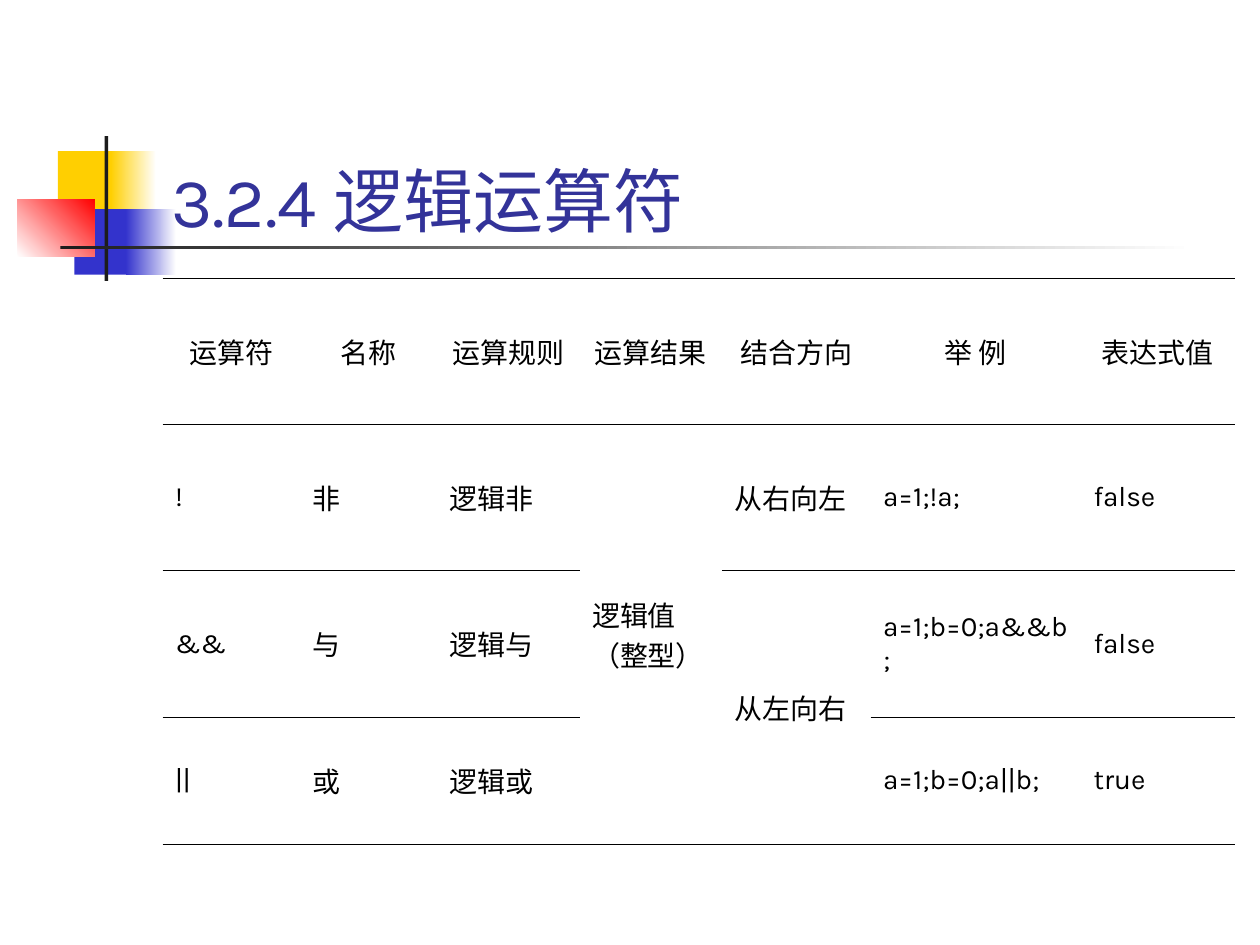
from lxml.etree import SubElement
from pptx import Presentation
from pptx.dml.color import RGBColor
from pptx.enum.shapes import MSO_SHAPE as Preset
from pptx.enum.text import MSO_ANCHOR as Anchor, PP_ALIGN as Align
from pptx.oxml.ns import qn
from pptx.util import Inches, Pt

FONT = "Karla"
NO_GRID_STYLE = "{2D5ABB26-0587-4C30-8999-92F81FD0307C}"
TITLE = "3.2.4 逻辑运算符"

# left, top, width, height, colours (one: solid, two: gradient), gradient angle
DECORATION = [
    (0.46, 1.2, 0.48, 0.52, ["FFCF01"], 0),
    (0.88, 1.2, 0.36, 0.52, ["FFCF01", "FFFFFF"], 0),
    (0.59, 1.66, 0.46, 0.52, ["3333CC"], 0),
    (1, 1.66, 0.4, 0.52, ["3333CC", "FFFFFF"], 0),
    (0.14, 1.58, 0.61, 0.46, ["FFFFFF", "FF0000"], 45),
    (0.83, 1.08, 0.03, 1.15, ["1C1C1C"], 0),
    (0.48, 1.95, 9, 0.03, ["1C1C1C", "FFFFFF"], 0),
]

# None marks a cell that continues the one above it
OPERATORS = [
    ["运算符", "名称", "运算规则", "运算结果", "结合方向", "举 例", "表达式值"],
    ["!", "非", "逻辑非", "逻辑值（整型）", "从右向左", "a=1;!a;", "false"],
    ["&&", "与", "逻辑与", None, "从左向右", "a=1;b=0;a&&b;", "false"],
    ["||", "或", "逻辑或", None, None, "a=1;b=0;a||b;", "true"],
]
COLUMN_WIDTHS = [1.09, 1.09, 1.13, 1.13, 1.18, 1.67, 1.22]
ROW_HEIGHTS = [1.16, 1.16, 1.16, 1.01]


def rgb(value):
    return RGBColor.from_string(value)


def write(frame, text, size, color, align=Align.LEFT):
    paragraph = frame.paragraphs[0]
    paragraph.alignment = align
    run = paragraph.add_run()
    run.text = text
    for name, value in {"name": FONT, "size": Pt(size)}.items():
        setattr(run.font, name, value)
    run.font.color.rgb = rgb(color)


def add_block(slide, left, top, width, height, colors, angle):
    shape = slide.shapes.add_shape(
        Preset.RECTANGLE, *map(Inches, (left, top, width, height)))
    shape.shadow.inherit = False
    shape.line.fill.background()
    if len(colors) == 1:
        shape.fill.solid()
        shape.fill.fore_color.rgb = rgb(colors[0])
        return
    shape.fill.gradient()
    shape.fill.gradient_angle = angle
    for stop, color in zip(shape.fill.gradient_stops, colors):
        stop.color.rgb = rgb(color)


def add_title(slide):
    box = slide.shapes.add_textbox(*map(Inches, (1.26, 0.67, 8.52, 1.25)))
    frame = box.text_frame
    settings = {"word_wrap": True, "vertical_anchor": Anchor.BOTTOM,
                "margin_bottom": 0}
    for name, value in settings.items():
        setattr(frame, name, value)
    write(frame, TITLE, 40, "333399")


def rule_cell(cell, sides):
    """Draw thin black lines on the named sides of a cell."""
    properties = cell._tc.get_or_add_tcPr()
    for side in sides:
        line = SubElement(properties, qn(f"a:ln{side}"), w=str(Pt(0.34)))
        fill = SubElement(line, qn("a:solidFill"))
        SubElement(fill, qn("a:srgbClr"), val="000000")


def add_operator_table(slide):
    row_count, column_count = len(OPERATORS), len(COLUMN_WIDTHS)
    table = slide.shapes.add_table(
        row_count, column_count, Inches(1.29), Inches(2.21),
        Inches(sum(COLUMN_WIDTHS)), Inches(sum(ROW_HEIGHTS))).table
    table.first_row = table.horz_banding = False
    table._tbl.tblPr.find(qn("a:tableStyleId")).text = NO_GRID_STYLE
    for column, width in zip(table.columns, COLUMN_WIDTHS):
        column.width = Inches(width)
    for row, height in zip(table.rows, ROW_HEIGHTS):
        row.height = Inches(height)

    for r, texts in enumerate(OPERATORS):
        for c, text in enumerate(texts):
            cell = table.cell(r, c)
            if text is None:
                rule_cell(cell, "B" if r == row_count - 1 else "")
            else:
                rule_cell(cell, "TB")
                cell.vertical_anchor = Anchor.MIDDLE
                write(cell.text_frame, text, 16, "000000",
                      Align.LEFT if r else Align.CENTER)
            cell.fill.background()

    for c in range(column_count):
        continued = [r for r in range(row_count) if OPERATORS[r][c] is None]
        if continued:
            table.cell(continued[0] - 1, c).merge(table.cell(continued[-1], c))


def main():
    presentation = Presentation()
    presentation.slide_width, presentation.slide_height = Inches(10), Inches(7.5)
    slide = presentation.slides.add_slide(presentation.slide_layouts[6])
    for block in DECORATION:
        add_block(slide, *block)
    add_title(slide)
    add_operator_table(slide)
    presentation.save("out.pptx")


if __name__ == "__main__":
    main()
